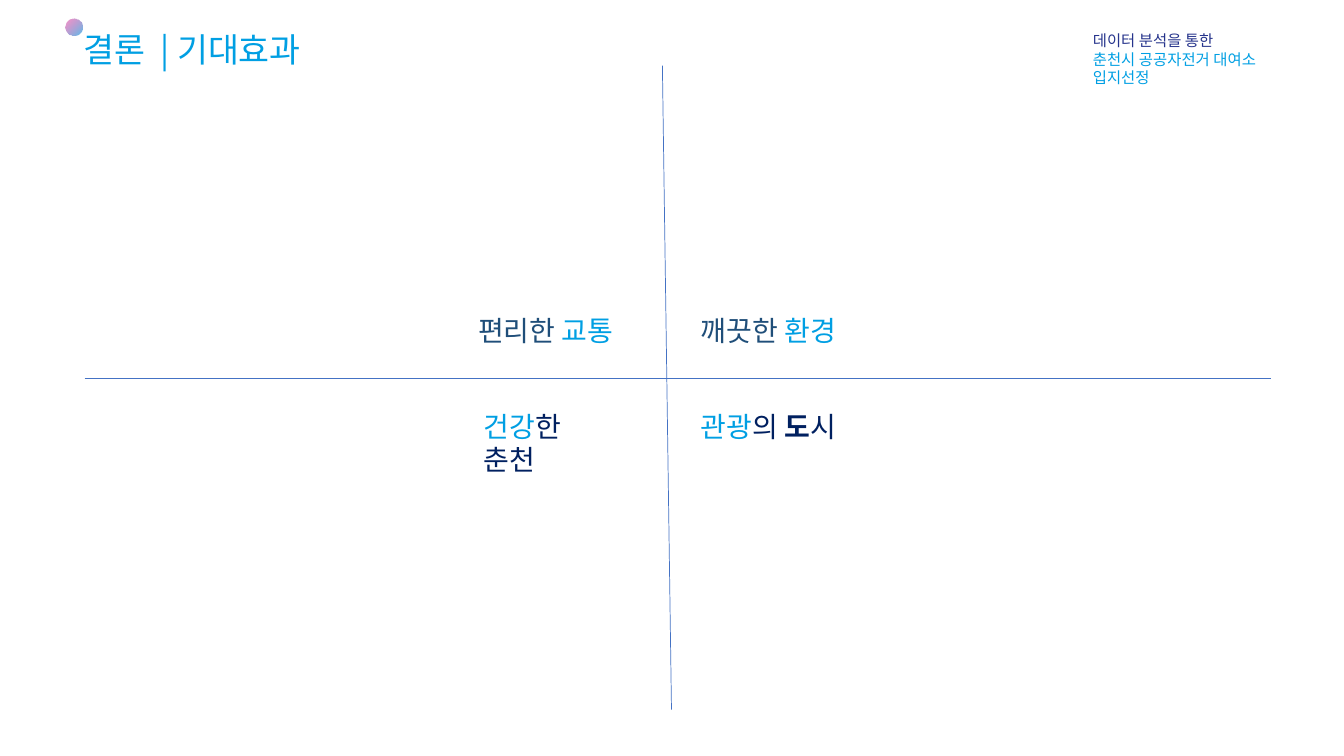
"""Build the expected-effects conclusion slide with four labelled quadrants."""
import pptx
import pptx.util
import pptx.dml.color
import pptx.enum.dml
import pptx.enum.shapes
import pptx.enum.text
import pptx.oxml.ns
import lxml.etree

FONT = "Noto Sans CJK KR"
SKY, INDIGO, STEEL, NAVY = "009FE3", "26348C", "1F4E79", "002060"
AXIS_COLOR = "4472C4"
ALIGN = pptx.enum.text.PP_ALIGN

HEADING = [[("결론  | 기대효과", SKY)]]
PROJECT = [[("데이터 분석을 통한", INDIGO)],
           [("춘천시 공공자전거 대여소 입지선정", SKY)]]
UPPER, LOWER = 3.06, 4.01
EFFECTS = [
    (6.82, UPPER, 1.66, ALIGN.CENTER, [("깨끗한 ", STEEL), ("환경 ", SKY)]),
    (4.52, UPPER, 1.85, ALIGN.CENTER, [("편리한 ", STEEL), ("교통 ", SKY)]),
    (6.82, LOWER, 1.6, ALIGN.CENTER,
     [("관광", SKY), ("의 ", NAVY), ("도", NAVY, True), ("시", NAVY)]),
    (4.7, LOWER, 1.5, ALIGN.LEFT, [("건강", SKY), ("한 춘천", NAVY)]),
]
AXES = [(0.84, 3.75, 12.61, 3.75), (6.57, 0.65, 6.66, 7.04)]
DOT_STOPS = [("E6007E", 41), (SKY, 67)]


def rgb(value):
    """Turn a hex string into a colour."""
    return pptx.dml.color.RGBColor.from_string(value)


def inches(*values):
    """Turn numbers into lengths."""
    return [pptx.util.Inches(value) for value in values]


def add_element(parent, tag, **attributes):
    """Append a DrawingML element."""
    return lxml.etree.SubElement(parent, pptx.oxml.ns.qn(tag), **attributes)


def write(box, paragraphs, size, align=ALIGN.LEFT):
    """Fill a text shape with paragraphs of coloured runs."""
    frame = box.text_frame
    frame.word_wrap = True
    frame.auto_size = pptx.enum.text.MSO_AUTO_SIZE.NONE
    frame.vertical_anchor = pptx.enum.text.MSO_ANCHOR.TOP
    for index, pieces in enumerate(paragraphs):
        paragraph = frame.add_paragraph() if index else frame.paragraphs[0]
        paragraph.alignment = align
        for text, color, *bold in pieces:
            run = paragraph.add_run()
            run.text = text
            run.font.size = pptx.util.Pt(size)
            run.font.bold = bool(bold)
            run.font.color.rgb = rgb(color)
            run.font.name = FONT
            add_element(run.font._element, "a:ea", typeface=FONT)


def add_dot(slide):
    """Draw the translucent gradient dot beside the heading."""
    dot = slide.shapes.add_shape(
        pptx.enum.shapes.MSO_SHAPE.FLOWCHART_CONNECTOR,
        *inches(0.65, 0.18, 0.17, 0.17))
    dot.shadow.inherit = False
    dot.line.fill.background()
    dot.fill.gradient()
    dot.fill.gradient_angle = 315
    for stop, (color, opacity) in zip(dot.fill.gradient_stops, DOT_STOPS):
        stop.color.rgb = rgb(color)
    for node, (color, opacity) in zip(dot._element.iter(pptx.oxml.ns.qn("a:srgbClr")), DOT_STOPS):
        add_element(node, "a:alpha", val=str(opacity * 1000))


def add_axis(slide, ends):
    """Draw one thin dividing line."""
    axis = slide.shapes.add_connector(
        pptx.enum.shapes.MSO_CONNECTOR.STRAIGHT, *inches(*ends))
    axis.line.color.rgb = rgb(AXIS_COLOR)
    axis.line.width = pptx.util.Pt(0.5)
    add_element(axis._element.spPr, "a:effectLst")


def main():
    """Assemble and save the slide."""
    deck = pptx.Presentation()
    deck.slide_width, deck.slide_height = inches(13.33, 7.5)
    slide = deck.slides.add_slide(deck.slide_layouts[5])

    title = slide.shapes.title
    title.left, title.top, title.width, title.height = inches(0.73, 0.24, 2.38, 0.5)
    write(title, HEADING, 24)
    write(slide.shapes.add_textbox(*inches(10.74, 0.26, 2.32, 0.47)), PROJECT, 11)
    add_dot(slide)
    for left, top, width, align, pieces in EFFECTS:
        label = slide.shapes.add_textbox(*inches(left, top, width, 0.44))
        write(label, [pieces], 20, align)
    for ends in AXES:
        add_axis(slide, ends)
    deck.save("out.pptx")


if __name__ == "__main__":
    main()
